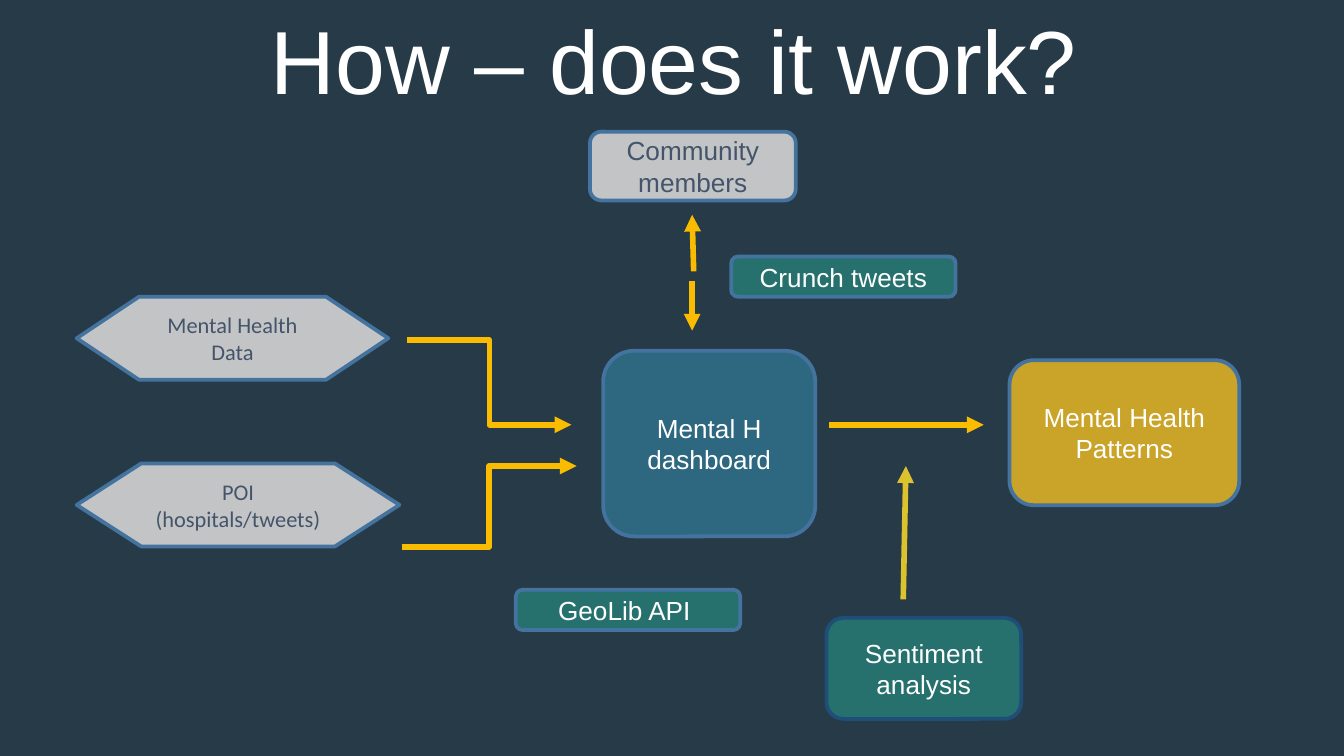
from typing import NamedTuple

from lxml.etree import SubElement
from pptx import Presentation
from pptx.dml.color import RGBColor
from pptx.enum.shapes import MSO_CONNECTOR, MSO_SHAPE
from pptx.enum.text import MSO_ANCHOR, MSO_AUTO_SIZE, PP_ALIGN
from pptx.oxml.ns import qn
from pptx.slide import Slide
from pptx.util import Cm, Pt

HUES = {
    "back": "273A47", "white": "FFFFFF", "slate": "44546A",
    "blue": "2D6880", "grey": "C3C4C5", "gold": "CAA329", "teal": "26716E",
    "edge": "43739E", "navy": "1F4E79", "amber": "F9BC00", "lime": "DCC22C",
}
ROUND = MSO_SHAPE.ROUNDED_RECTANGLE
HEX = MSO_SHAPE.FLOWCHART_PREPARATION
BEND = MSO_CONNECTOR.ELBOW


class Node(NamedTuple):
    text: str
    left: float
    top: float
    width: float
    height: float
    fill: str
    ink: str = "white"
    edge: str = "edge"
    kind: MSO_SHAPE = ROUND
    font: str = "Arial"
    size: int = 14


class Arrow(NamedTuple):
    x1: float
    y1: float
    x2: float
    y2: float
    kind: MSO_CONNECTOR = MSO_CONNECTOR.STRAIGHT
    hue: str = "amber"


NODES = [
    Node("Mental H\ndashboard", 11.4, 6.63, 4.01, 3.51, "blue"),
    Node("Community members", 11.15, 2.49, 3.89, 1.3, "grey", "slate"),
    Node("Mental Health Patterns", 19.08, 6.81, 4.34, 2.74, "gold"),
    Node("Mental Health Data", 1.45, 5.61, 5.89, 1.57, "grey", "slate",
         kind=HEX, font="Calibri", size=12),
    Node("POI (hospitals/tweets)", 1.45, 8.76, 6.1, 1.57, "grey", "slate",
         kind=HEX, font="Calibri", size=12),
    Node("Sentiment analysis", 15.62, 11.68, 3.68, 1.91, "teal", edge="navy"),
    Node("Crunch tweets", 13.82, 4.85, 4.24, 0.76, "teal"),
    Node("GeoLib API ", 9.75, 11.15, 4.24, 0.76, "teal"),
]
ARROWS = [
    Arrow(7.7, 6.43, 10.8, 8.03, BEND),
    Arrow(7.59, 10.34, 10.9, 8.81, BEND),
    Arrow(13.08, 5.31, 13.08, 6.25),
    Arrow(13.11, 5.13, 13.08, 4.06),
    Arrow(15.67, 8.03, 18.59, 8.03),
    Arrow(17.07, 11.33, 17.12, 8.81, hue="lime"),
]


def color(name: str) -> RGBColor:
    return RGBColor.from_string(HUES[name])


def write(shape, text: str, font: str, size: int, ink: str) -> None:
    frame = shape.text_frame
    frame.text = text
    frame.word_wrap = True
    frame.vertical_anchor = MSO_ANCHOR.MIDDLE
    for par in frame.paragraphs:
        par.alignment = PP_ALIGN.CENTER
        par.font.name = font
        par.font.size = Pt(size)
        par.font.color.rgb = color(ink)


def draw_node(slide: Slide, node: Node) -> None:
    shape = slide.shapes.add_shape(
        node.kind, Cm(node.left), Cm(node.top), Cm(node.width), Cm(node.height))
    shape.shadow.inherit = False
    shape.fill.solid()
    shape.fill.fore_color.rgb = color(node.fill)
    shape.line.color.rgb = color(node.edge)
    shape.line.width = Pt(2)
    write(shape, node.text, node.font, node.size, node.ink)


def draw_arrow(slide: Slide, arrow: Arrow) -> None:
    link = slide.shapes.add_connector(
        arrow.kind, Cm(arrow.x1), Cm(arrow.y1), Cm(arrow.x2), Cm(arrow.y2))
    link.line.color.rgb = color(arrow.hue)
    link.line.width = Pt(3)
    props = link._element.spPr
    SubElement(props.find(qn("a:ln")), qn("a:tailEnd"), type="triangle")
    SubElement(props, qn("a:effectLst"))


def draw_title(slide: Slide, text: str) -> None:
    title = slide.shapes.title
    title.left, title.top = Cm(1.78), Cm(0.3)
    title.width, title.height = Cm(21.92), Cm(1.88)
    write(title, text, "Arial", 48, "white")
    frame = title.text_frame
    frame.auto_size = MSO_AUTO_SIZE.NONE
    frame.margin_left = frame.margin_right = Cm(0.18)
    frame.margin_top = frame.margin_bottom = Cm(0.1)
    frame.paragraphs[0].line_spacing = 0.9


def main() -> None:
    deck = Presentation()
    deck.slide_width, deck.slide_height = Cm(25.4), Cm(14.29)
    slide = deck.slides.add_slide(deck.slide_layouts[5])

    # Background and title
    slide.background.fill.solid()
    slide.background.fill.fore_color.rgb = color("back")
    draw_title(slide, "How – does it work?")

    # Flow diagram
    for node in NODES:
        draw_node(slide, node)
    for arrow in ARROWS:
        draw_arrow(slide, arrow)

    deck.save("out.pptx")


if __name__ == "__main__":
    main()
